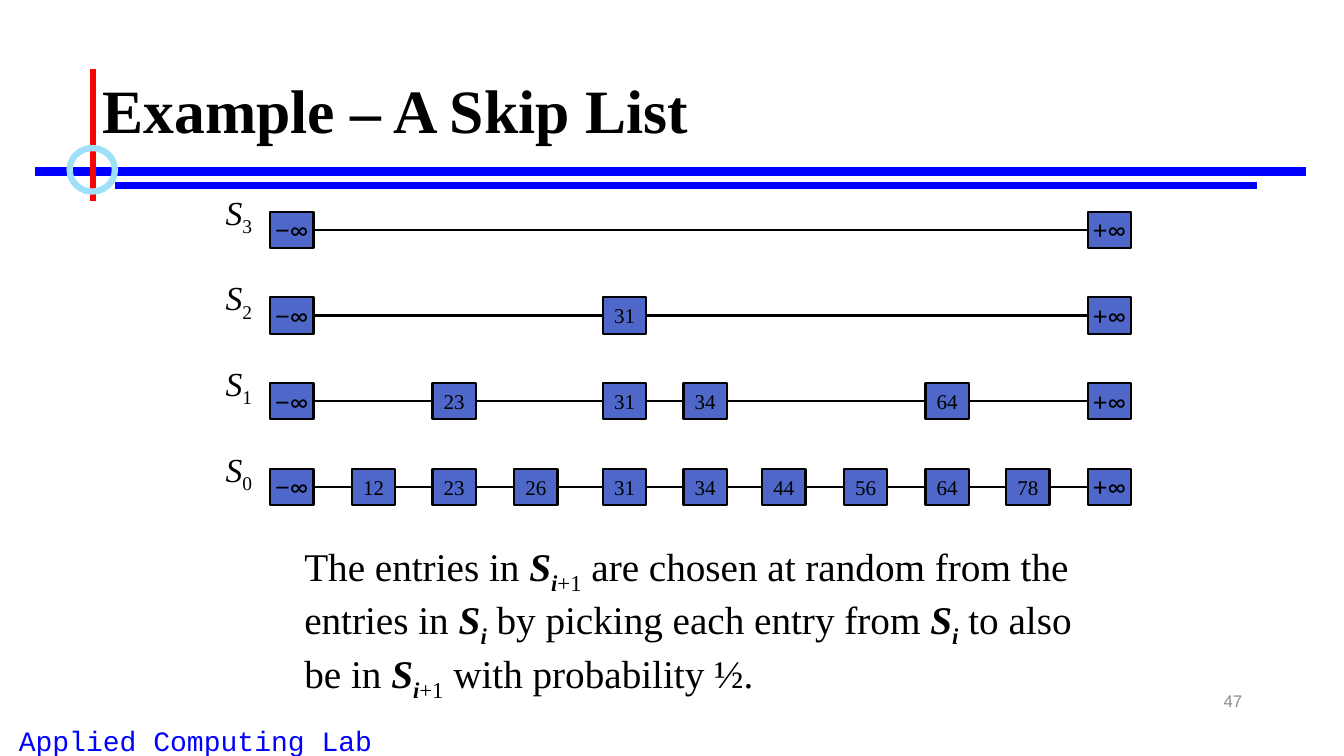
from itertools import pairwise

from lxml import etree
from pptx import Presentation
from pptx.dml.color import RGBColor
from pptx.enum.shapes import MSO_CONNECTOR, MSO_SHAPE
from pptx.enum.text import MSO_ANCHOR, MSO_AUTO_SIZE, PP_ALIGN
from pptx.oxml.ns import qn
from pptx.util import Inches, Pt

LINE = MSO_CONNECTOR.STRAIGHT
RECT, OVAL = MSO_SHAPE.RECTANGLE, MSO_SHAPE.OVAL
LEFT, MID, RIGHT = PP_ALIGN.LEFT, PP_ALIGN.CENTER, PP_ALIGN.RIGHT
TOP, CENTER = MSO_ANCHOR.TOP, MSO_ANCHOR.MIDDLE
GROW = MSO_AUTO_SIZE.SHAPE_TO_FIT_TEXT

COLORS = {
    "ink": "000000",
    "blue": "0000FF",
    "red": "FF0000",
    "ring": "9EE0F8",
    "node": "4E67C8",
    "gray": "8C8C8C",
}
SERIF, SANS, MONO, MATH = "Times New Roman", "Arial", "Courier New", "Lato"

LOW, HIGH = "−∞", "+∞"
# Left edge of each key's column, measured from the first column
COLUMNS = {
    LOW: 0, "12": 0.81, "23": 1.61, "26": 2.42, "31": 3.3, "34": 4.1,
    "44": 4.88, "56": 5.69, "64": 6.5, "78": 7.3, HIGH: 8.11,
}
LEVELS = [
    ("3", []),
    ("2", ["31"]),
    ("1", ["23", "31", "34", "64"]),
    ("0", [key for key in COLUMNS if key not in (LOW, HIGH)]),
]
NODE_W, NODE_H, PITCH = 0.43, 0.36, 0.85

# Style letters: b bold, i italic, s subscript
S_I = [("S", "bi"), ("i", "bis")]
S_NEXT = [*S_I, ("+1", "s")]
RULE = [
    [("The entries in ", ""), *S_NEXT, (" are chosen at random from the", "")],
    [("entries in ", ""), *S_I, (" by picking each entry from ", ""),
     *S_I, (" to also", "")],
    [("be in ", ""), *S_NEXT, (" with probability ½.", "")],
]


def color(name):
    return RGBColor.from_string(COLORS[name])


def add_run(para, text, size, font=SERIF, hue="ink", style=""):
    run = para.add_run()
    run.text = text
    run.font.size = Pt(size)
    run.font.name = font
    run.font.color.rgb = color(hue)
    run.font.bold = "b" in style
    run.font.italic = "i" in style
    if "s" in style:
        run._r.get_or_add_rPr().set("baseline", "-25000")


def add_text(shapes, box, align=LEFT, anchor=TOP, wrap=True, grow=False):
    """Add an empty text box and return its frame."""
    frame = shapes.add_textbox(*map(Inches, box)).text_frame
    frame.word_wrap = wrap
    frame.vertical_anchor = anchor
    if grow:
        frame.auto_size = GROW
    frame.paragraphs[0].alignment = align
    return frame


def add_line(shapes, x1, y1, x2, y2, hue="ink", width=1.5):
    line = shapes.add_connector(LINE, *map(Inches, (x1, y1, x2, y2)))
    line.line.color.rgb = color(hue)
    line.line.width = Pt(width)
    etree.SubElement(line._element.spPr, qn("a:effectLst"))


def add_frame(shapes, x, y):
    """Draw the crossed rules and ring, with x, y where they cross."""
    add_line(shapes, x - 0.57, y, x + 12.03, y, "blue", 6)
    add_line(shapes, x + 0.22, y + 0.14, x + 11.55, y + 0.14, "blue", 4.5)
    add_line(shapes, x, y - 1.02, x, y + 0.29, "red", 4.5)
    ring = shapes.add_shape(
        OVAL, *map(Inches, (x - 0.23, y - 0.23, 0.45, 0.43)))
    ring.shadow.inherit = False
    ring.fill.background()
    ring.line.color.rgb = color("ring")
    ring.line.width = Pt(4.5)


def add_node(shapes, x, y, key):
    node = shapes.add_shape(RECT, *map(Inches, (x, y, NODE_W, NODE_H)))
    node.shadow.inherit = False
    node.fill.solid()
    node.fill.fore_color.rgb = color("node")
    node.line.color.rgb = color("ink")
    node.line.width = Pt(1.5)
    frame = node.text_frame
    frame.word_wrap = False
    frame.vertical_anchor = CENTER
    para = frame.paragraphs[0]
    para.alignment = MID
    if key in (LOW, HIGH):
        add_run(para, key[0], 18, SANS)
        add_run(para, key[1], 18, MATH)
    else:
        add_run(para, key, 15)


def add_level(shapes, x, y, index, keys):
    """Draw one linked list with its label, first node at x, y."""
    row = [LOW, *keys, HIGH]
    for key in row:
        add_node(shapes, x + COLUMNS[key], y, key)
    mid = y + NODE_H / 2
    for a, b in pairwise(row):
        add_line(shapes, x + COLUMNS[a] + NODE_W, mid, x + COLUMNS[b], mid)
    label = add_text(shapes, (x - 0.56, y - 0.25, 0.5, 0.5), MID,
                     wrap=False, grow=True).paragraphs[0]
    add_run(label, "S", 24, style="i")
    add_run(label, index, 24, style="s")


def add_list(slide, x, y):
    for i, (index, keys) in enumerate(LEVELS):
        group = slide.shapes.add_group_shape()
        add_level(group.shapes, x, y + i * PITCH, index, keys)


def add_title(shapes, box):
    para = add_text(shapes, box, anchor=CENTER).paragraphs[0]
    para.line_spacing = 0.9
    add_run(para, "Example – A Skip List", 44, style="b")


def add_rule(shapes, box):
    frame = add_text(shapes, box, wrap=False, grow=True)
    for i, parts in enumerate(RULE):
        para = frame.add_paragraph() if i else frame.paragraphs[0]
        for text, style in parts:
            add_run(para, text, 28, style=style)


def add_footer(shapes, lab, page):
    frame = add_text(shapes, lab, MID, grow=True)
    add_run(frame.paragraphs[0], "Applied Computing Lab", 20, MONO, "blue")
    frame = add_text(shapes, page, RIGHT, CENTER)
    add_run(frame.paragraphs[0], "47", 12, SANS, "gray")


def main():
    deck = Presentation()
    deck.slide_width, deck.slide_height = Inches(13.33), Inches(7.5)
    slide = deck.slides.add_slide(deck.slide_layouts[6])
    shapes = slide.shapes
    add_frame(shapes, 0.92, 1.7)
    add_footer(shapes, (-0.58, 7.13, 5.04, 0.43), (9.42, 6.75, 3, 0.4))
    add_title(shapes, (0.92, 0.4, 11.5, 1.45))
    add_list(slide, 2.68, 2.1)
    add_rule(shapes, (2.92, 5.33, 7.94, 1.5))
    deck.save("out.pptx")


if __name__ == "__main__":
    main()
